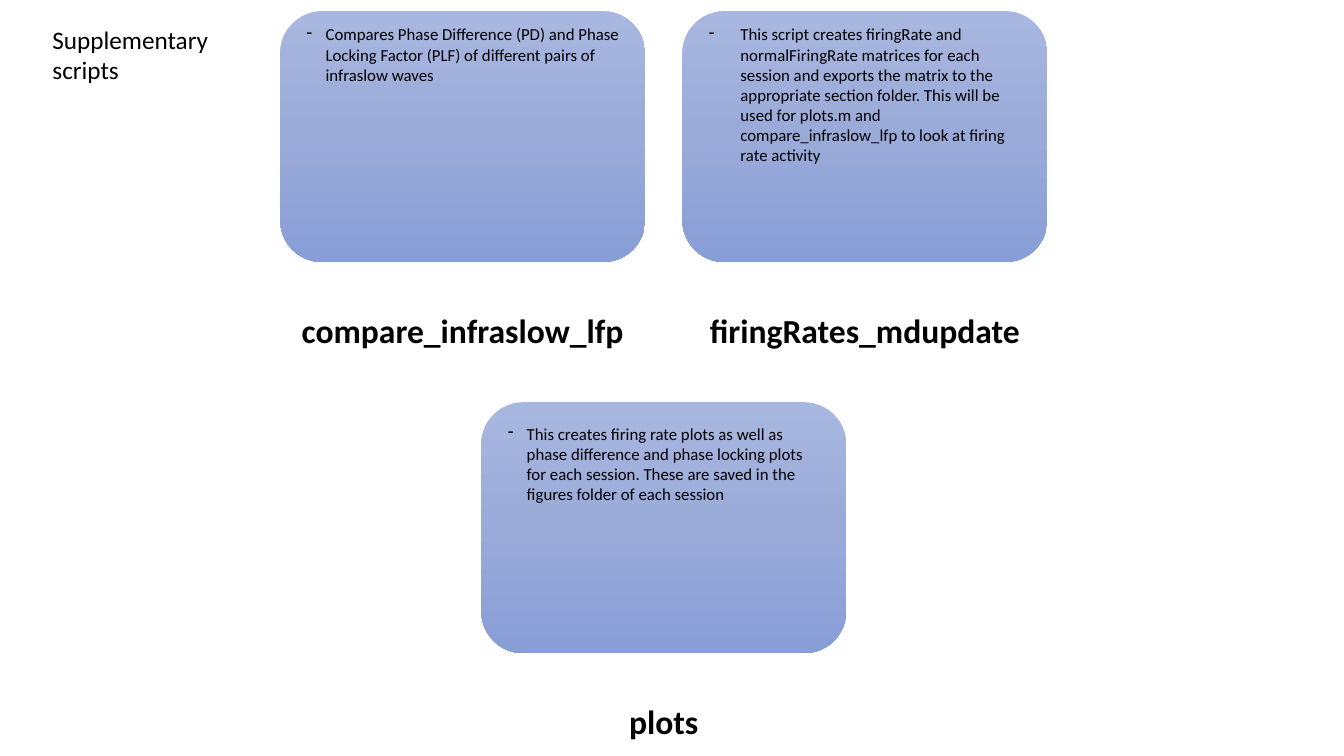
from copy import deepcopy
from dataclasses import dataclass

from lxml import etree
from pptx import Presentation
from pptx.dml.color import RGBColor
from pptx.enum.shapes import MSO_SHAPE
from pptx.enum.text import MSO_ANCHOR, MSO_AUTO_SIZE, PP_ALIGN
from pptx.oxml.ns import qn
from pptx.util import Pt

ROUNDED = MSO_SHAPE.ROUNDED_RECTANGLE
TOP = MSO_ANCHOR.TOP
FIT_SHAPE = MSO_AUTO_SIZE.SHAPE_TO_FIT_TEXT
LEFT, CENTER = PP_ALIGN.LEFT, PP_ALIGN.CENTER


@dataclass(frozen=True)
class Theme:
    font: str = "Calibri"
    text: str = "000000"
    card: tuple = ((0, "A8B7DF"), (0.5, "9AABD9"), (1, "889ED7"))
    title: int = 18
    label: int = 24
    note: int = 12


THEME = Theme()

# Card grid, in points
CARD_W, CARD_H = 260.64, 179.28
CARD_GAP = 26.64
GRID_X, GRID_Y = 200.16, 7.92
ROW_STEP = 279.36
LABEL_DROP, LABEL_H = 203.4, 50
LABEL_INSET = 13.44
NOTE_X, NOTE_W = 11.88, 237.6


@dataclass(frozen=True)
class Script:
    name: str
    note: str
    col: float
    row: int
    note_y: float
    note_h: float
    indent: float


SCRIPTS = [
    Script("compare_infraslow_lfp",
           "Compares Phase Difference (PD) and Phase Locking Factor (PLF) of "
           "different pairs of infraslow waves",
           0, 0, 5.76, 65.5, 13.5),
    Script("firingRates_mdupdate",
           "This script creates firingRate and normalFiringRate matrices for "
           "each session and exports the matrix to the appropriate section "
           "folder. This will be used for plots.m and compare_infraslow_lfp "
           "to look at firing rate activity",
           1, 0, 5.76, 123.8, 22.5),
    Script("plots",
           "This creates firing rate plots as well as phase difference and "
           "phase locking plots for each session. These are saved in the "
           "figures folder of each session",
           0.5, 1, 11.52, 80, 13.5),
]


def add_run(p, text, size, bold=False):
    r = p.add_run()
    r.text = text
    r.font.name = THEME.font
    r.font.size = Pt(size)
    r.font.bold = bold
    r.font.color.rgb = RGBColor.from_string(THEME.text)


def add_textbox(slide, x, y, w, h):
    tf = slide.shapes.add_textbox(Pt(x), Pt(y), Pt(w), Pt(h)).text_frame
    tf.word_wrap = True
    tf.vertical_anchor = TOP
    return tf


def fill_gradient(sp, stops):
    sp.fill.gradient()
    sp.fill.gradient_angle = 270
    gs_list = sp._element.spPr.find(qn("a:gradFill")).find(qn("a:gsLst"))
    gs_list.append(deepcopy(gs_list[0]))
    for stop, (position, color) in zip(sp.fill.gradient_stops, stops):
        stop.position = position
        stop.color.rgb = RGBColor.from_string(color)


def set_dash_bullet(p, indent):
    pPr = p._p.get_or_add_pPr()
    pPr.set("marL", str(Pt(indent)))
    pPr.set("indent", str(-Pt(indent)))
    etree.SubElement(pPr, qn("a:buFontTx"))
    etree.SubElement(pPr, qn("a:buChar")).set("char", "-")


def add_title(slide, x, y, w, h):
    sp = slide.shapes.title
    sp.left, sp.top, sp.width, sp.height = Pt(x), Pt(y), Pt(w), Pt(h)
    tf = sp.text_frame
    tf.word_wrap = True
    tf.vertical_anchor = TOP
    tf.auto_size = FIT_SHAPE
    p = tf.paragraphs[0]
    p.alignment = LEFT
    add_run(p, "Supplementary scripts", THEME.title)


def add_script_card(slide, script, x, y, w, h):
    # Rounded panel
    sp = slide.shapes.add_shape(ROUNDED, Pt(x), Pt(y), Pt(w), Pt(h))
    sp.shadow.inherit = False
    sp.line.fill.background()
    fill_gradient(sp, THEME.card)

    # Script name below the panel
    tf = add_textbox(slide, x, y + LABEL_DROP, w, LABEL_H)
    tf.margin_left = tf.margin_right = tf.margin_top = Pt(LABEL_INSET)
    tf.margin_bottom = 0
    p = tf.paragraphs[0]
    p.alignment = CENTER
    p.line_spacing = 0.9
    add_run(p, script.name, THEME.label, bold=True)

    # Description inside the panel
    tf = add_textbox(slide, x + NOTE_X, y + script.note_y, NOTE_W, script.note_h)
    tf.auto_size = FIT_SHAPE
    p = tf.paragraphs[0]
    set_dash_bullet(p, script.indent)
    add_run(p, script.note, THEME.note)


def build_slide(prs):
    slide = prs.slides.add_slide(prs.slide_layouts[5])
    add_title(slide, 30.24, 13.68, 132.48, 51)
    for script in SCRIPTS:
        x = GRID_X + script.col * (CARD_W + CARD_GAP)
        y = GRID_Y + script.row * ROW_STEP
        add_script_card(slide, script, x, y, CARD_W, CARD_H)


def main():
    prs = Presentation()
    prs.slide_width, prs.slide_height = Pt(960), Pt(540)
    build_slide(prs)
    prs.save("out.pptx")


if __name__ == "__main__":
    main()
